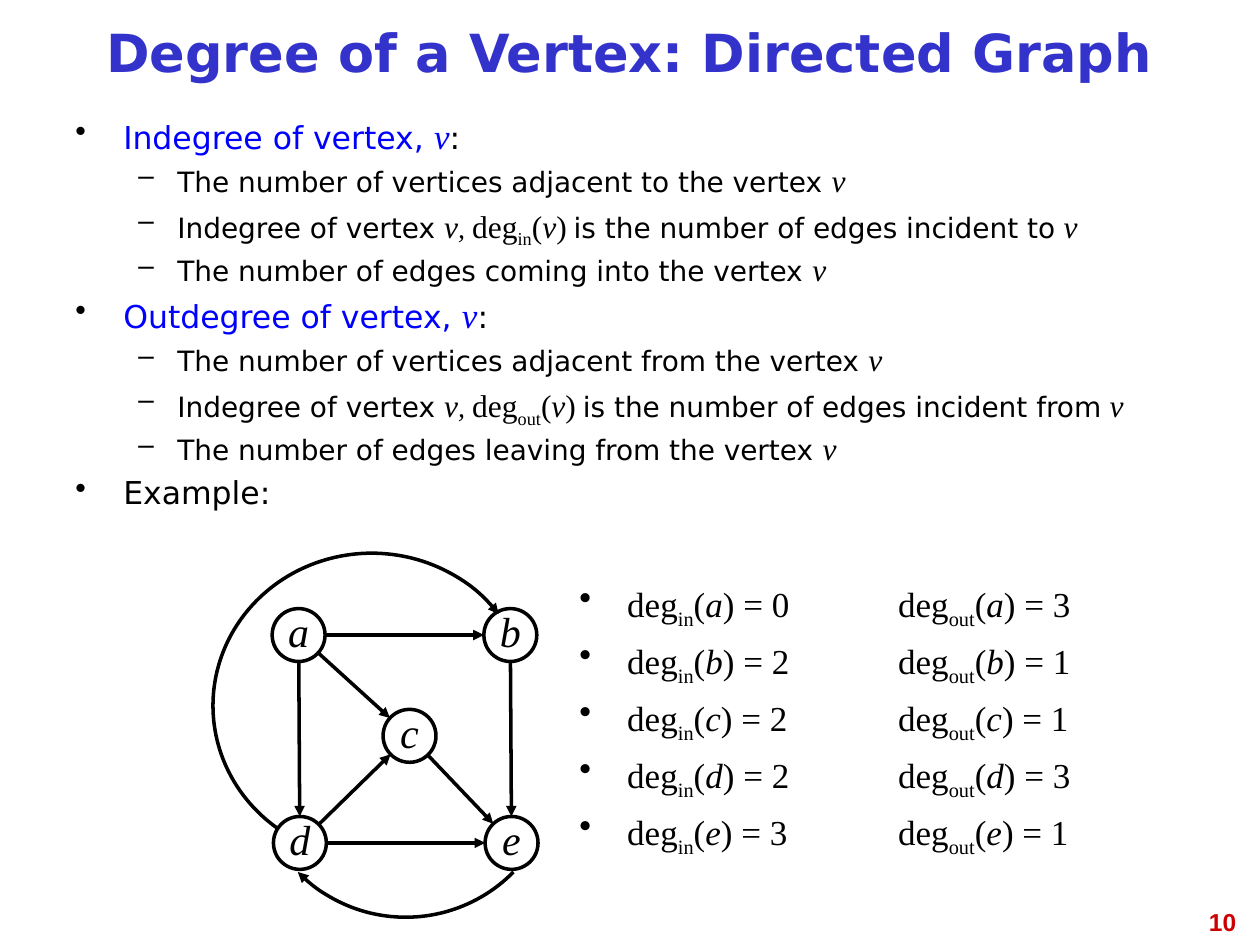
from math import cos, hypot, radians, sin

from lxml.etree import SubElement
from pptx import Presentation
from pptx.dml.color import RGBColor
from pptx.enum.shapes import MSO_CONNECTOR, MSO_SHAPE
from pptx.enum.text import MSO_ANCHOR, PP_ALIGN as Align
from pptx.oxml.ns import qn
from pptx.util import Inches, Pt

BLACK = RGBColor(0x00, 0x00, 0x00)
BLUE = RGBColor(0x00, 0x00, 0xFF)
INDIGO = RGBColor(0x33, 0x33, 0xCC)
RED = RGBColor(0xCC, 0x00, 0x00)
SANS, SERIF = "DejaVu Sans", "Times New Roman"


def write(paragraph, text, size=18, font=SANS, color=BLACK,
          bold=False, italic=False, subscript=False):
    run = paragraph.add_run()
    run.text = text
    run.font.size = Pt(size)
    run.font.name = font
    run.font.color.rgb = color
    run.font.bold = bold
    run.font.italic = italic
    if subscript:
        run._r.get_or_add_rPr().set("baseline", "-25000")


def add_bullet(frame, first, mark, margin, hanging, spacing, before, tab=None):
    paragraph = frame.paragraphs[0] if first else frame.add_paragraph()
    properties = paragraph._p.get_or_add_pPr()
    properties.set("marL", str(Inches(margin)))
    properties.set("indent", str(-Inches(hanging)))
    color = SubElement(properties, qn("a:buClr"))
    SubElement(color, qn("a:srgbClr"), val=str(BLACK))
    SubElement(properties, qn("a:buChar"), char=mark)
    if tab:
        stops = SubElement(properties, qn("a:tabLst"))
        SubElement(stops, qn("a:tab"), pos=str(Inches(tab)), algn="l")
    paragraph.alignment = Align.JUSTIFY
    paragraph.line_spacing = spacing
    paragraph.space_before = Pt(0 if first else before)
    return paragraph


presentation = Presentation()
presentation.slide_width, presentation.slide_height = Inches(10), Inches(7.5)
slide = presentation.slides.add_slide(presentation.slide_layouts[5])
shapes = slide.shapes
CELL = presentation.slide_width // 1000  # grid of 1000 columns by 750 rows

# Title
title = shapes.title
title.left, title.top, title.width, title.height = (
    CELL * n for n in (50, 8, 899, 75))
title.text_frame.vertical_anchor = MSO_ANCHOR.MIDDLE
paragraph = title.text_frame.paragraphs[0]
paragraph.alignment = Align.CENTER
paragraph.line_spacing = 0.81
write(paragraph, "Degree of a Vertex: Directed Graph", size=30, color=INDIGO, bold=True)

# Text boxes: definitions, degree list, page number
definitions, degrees, page = (
    shapes.add_textbox(*(CELL * n for n in box)).text_frame
    for box in ((50, 92, 899, 342), (450, 458, 467, 258), (758, 715, 233, 52)))
for frame in (definitions, degrees, page):
    frame.word_wrap = True

# Definitions
TERM = dict(color=BLUE)
TERM_VERTEX = dict(size=20, font=SERIF, color=BLUE, italic=True)
BODY = dict(size=16)
GAP = dict(size=16, font=SERIF, italic=True)
MATH = dict(font=SERIF)
VERTEX = dict(font=SERIF, italic=True)
SUBSCRIPT = dict(font=SERIF, subscript=True)
lines = []
for term, suffix, direction, motion in (("Indegree", "in", "to", "coming into"),
                                        ("Outdegree", "out", "from", "leaving from")):
    lines += [
        (0, [(f"{term} of vertex, ", TERM), ("v", TERM_VERTEX), (":", {})]),
        (1, [(f"The number of vertices adjacent {direction} the vertex ", BODY),
             ("v", VERTEX)]),
        (1, [("Indegree of vertex ", BODY), ("v", VERTEX), (", ", GAP),
             ("deg", MATH), (suffix, SUBSCRIPT), ("(", MATH), ("v", VERTEX),
             (")", MATH), (" ", GAP),
             (f"is the number of edges incident {direction}", BODY), (" v", VERTEX)]),
        (1, [(f"The number of edges {motion} the vertex ", BODY), ("v", VERTEX)]),
    ]
lines.append((0, [("Example:", {})]))
BULLETS = (("•", 0.38, 0.38, 0.8, 8), ("–", 0.81, 0.31, 0.8, 7))
for index, (level, runs) in enumerate(lines):
    paragraph = add_bullet(definitions, index == 0, *BULLETS[level])
    paragraph.level = level
    for text, style in runs:
        write(paragraph, text, **style)

# Graph vertices, given by their centres
RADIUS = 21
vertices = {"a": (237, 504), "b": (405, 504), "c": (325, 584),
            "d": (238, 669), "e": (406, 669)}
for name, (x, y) in vertices.items():
    circle = shapes.add_shape(MSO_SHAPE.OVAL, CELL * (x - RADIUS), CELL * (y - RADIUS),
                              CELL * 2 * RADIUS, CELL * 2 * RADIUS)
    circle.shadow.inherit = False
    circle.fill.background()
    circle.line.color.rgb = BLACK
    circle.line.width = Pt(2)
    frame = circle.text_frame
    frame.word_wrap = False
    frame.vertical_anchor = MSO_ANCHOR.MIDDLE
    paragraph = frame.paragraphs[0]
    paragraph.alignment = Align.CENTER
    paragraph.line_spacing = 0.81
    write(paragraph, name, size=24, font=SERIF, italic=True)

# Straight edges run from rim to rim
edges = []
for start, end in ("ab", "ac", "ad", "be", "ce", "dc", "de"):
    (x1, y1), (x2, y2) = vertices[start], vertices[end]
    length = hypot(x2 - x1, y2 - y1)
    dx, dy = RADIUS * (x2 - x1) / length, RADIUS * (y2 - y1) / length
    edges.append(shapes.add_connector(
        MSO_CONNECTOR.STRAIGHT,
        *(round(CELL * n) for n in (x1 + dx, y1 + dy, x2 - dx, y2 - dy))))

# Curved edges e-d and d-b: centre, radii, start and end angle in degrees
for x, y, rx, ry, start, end in ((322, 608, 120, 120, 44.5, 135.5),
                                 (295, 560, 126, 121, 127.7, 324.2)):
    arc = shapes.add_shape(MSO_SHAPE.ARC, CELL * (x - rx), CELL * (y - ry),
                           CELL * 2 * rx, CELL * 2 * ry)
    arc.adjustments[0], arc.adjustments[1] = start * 0.6, end * 0.6
    arc.fill.background()
    edges.append(arc)

for edge in edges:
    edge.line.color.rgb = BLACK
    edge.line.width = Pt(2)
    properties = edge._element.spPr
    SubElement(properties.find(qn("a:ln")), qn("a:tailEnd"), type="triangle")
    SubElement(properties, qn("a:effectLst"))

# Degree list
for index, (name, indegree, outdegree) in enumerate(
        (("a", 0, 3), ("b", 2, 1), ("c", 2, 1), ("d", 2, 3), ("e", 3, 1))):
    paragraph = add_bullet(degrees, index == 0, "•", 0.38, 0.38, 0.9, 8, tab=2.53)
    for suffix, degree, ending in (("in", indegree, "\t"), ("out", outdegree, "")):
        for text, style in (("deg", MATH), (suffix, SUBSCRIPT), ("(", MATH),
                            (name, VERTEX), (f") = {degree}{ending}", MATH)):
            write(paragraph, text, size=20, **style)

# Page number
page.paragraphs[0].alignment = Align.RIGHT
write(page.paragraphs[0], "10", size=14, font="Arial", color=RED, bold=True)

presentation.save("out.pptx")
